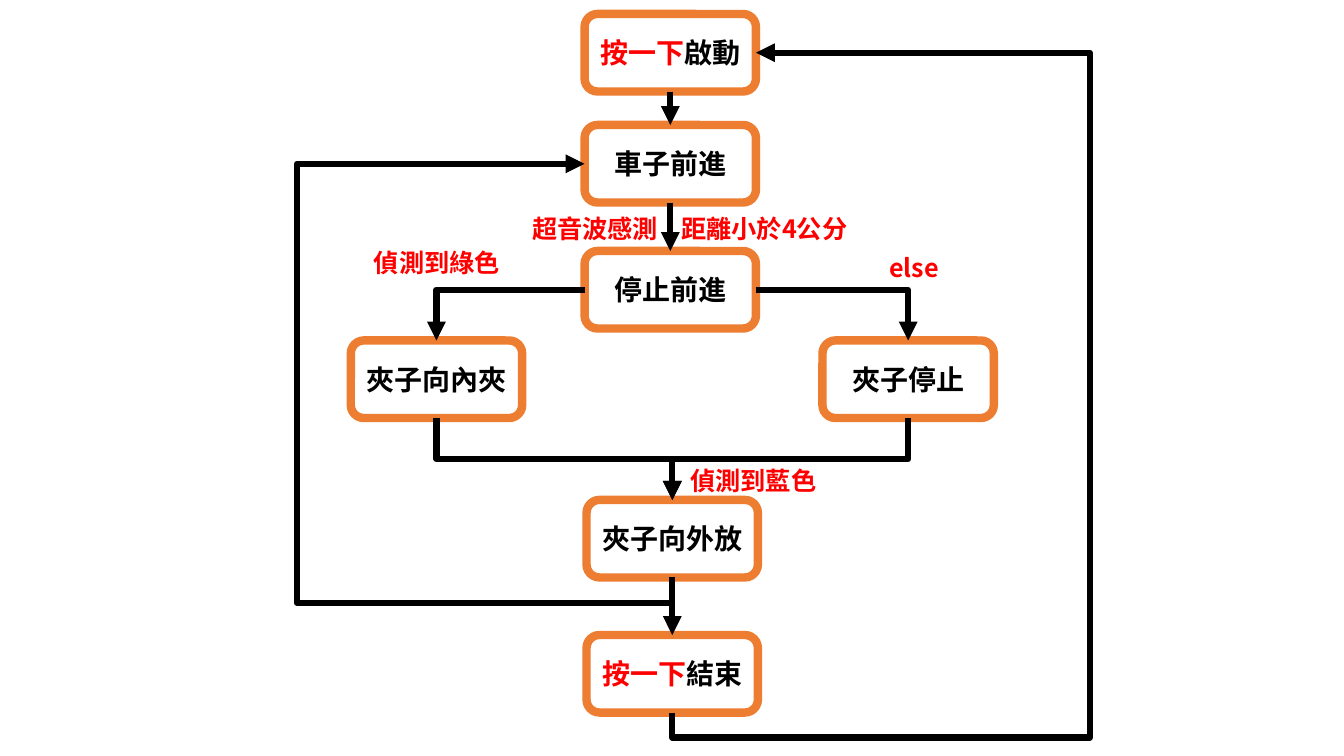
from dataclasses import dataclass

from lxml import etree
from pptx import Presentation
from pptx.dml.color import RGBColor
from pptx.enum import shapes, text
from pptx.oxml import ns
from pptx.util import Pt


@dataclass(frozen=True)
class Theme:
    font: str = "Noto Sans CJK SC"
    ink: RGBColor = RGBColor(0, 0, 0)
    accent: RGBColor = RGBColor(0xFF, 0, 0)
    paper: RGBColor = RGBColor(0xFF, 0xFF, 0xFF)
    border: RGBColor = RGBColor(0xED, 0x7D, 0x31)
    step_size: float = 20
    label_size: float = 18
    border_width: float = 6
    arrow_width: float = 4.5


THEME = Theme()


@dataclass(frozen=True)
class Box:
    left: float
    top: float
    width: float = 122.4
    height: float = 55.4

    @property
    def north(self):
        return self.left + self.width / 2, self.top

    @property
    def south(self):
        return self.left + self.width / 2, self.top + self.height

    @property
    def west(self):
        return self.left, self.top + self.height / 2

    @property
    def east(self):
        return self.left + self.width, self.top + self.height / 2


def add_run(paragraph, words, *, size, color, bold=True):
    run = paragraph.add_run()
    run.text = words
    font = run.font
    font.name, font.size, font.bold = THEME.font, Pt(size), bold
    font.color.rgb = color
    east_asian = etree.SubElement(run._r.get_or_add_rPr(), ns.qn("a:ea"))
    east_asian.set("typeface", THEME.font)


def add_step(slide, box, words, trigger=""):
    """Draw a rounded step; the trigger is the red wording before the step."""
    shape = slide.shapes.add_shape(
        shapes.MSO_SHAPE.ROUNDED_RECTANGLE,
        Pt(box.left), Pt(box.top), Pt(box.width), Pt(box.height))
    shape.shadow.inherit = False
    shape.fill.solid()
    shape.fill.fore_color.rgb = THEME.paper
    shape.line.color.rgb = THEME.border
    shape.line.width = Pt(THEME.border_width)
    frame = shape.text_frame
    frame.word_wrap = True
    frame.vertical_anchor = text.MSO_ANCHOR.MIDDLE
    paragraph = frame.paragraphs[0]
    paragraph.alignment = text.PP_ALIGN.CENTER
    if trigger:
        add_run(paragraph, trigger, size=THEME.step_size, color=THEME.accent)
    add_run(paragraph, words, size=THEME.step_size, color=THEME.ink)


def add_label(slide, box, words, tab_stop=None):
    shape = slide.shapes.add_textbox(
        Pt(box.left), Pt(box.top), Pt(box.width), Pt(box.height))
    frame = shape.text_frame
    frame.word_wrap = True
    frame.auto_size = text.MSO_AUTO_SIZE.SHAPE_TO_FIT_TEXT
    paragraph = frame.paragraphs[0]
    add_run(paragraph, words, size=THEME.label_size, color=THEME.accent)
    if tab_stop:
        tabs = etree.SubElement(paragraph._p.get_or_add_pPr(), ns.qn("a:tabLst"))
        etree.SubElement(tabs, ns.qn("a:tab"), pos=str(Pt(tab_stop)), algn="l")


def bend(connector, route):
    """Give an elbow connector the right-angled route through the points."""
    start, end = route[0], route[-1]
    first = 1 if route[0][0] == route[1][0] else 0  # axis of the first leg
    second = 1 - first
    span = [end[axis] - start[axis] for axis in (0, 1)]
    length, breadth = abs(span[first]), abs(span[second])
    connector.left = Pt((start[0] + end[0] - length) / 2)
    connector.top = Pt((start[1] + end[1] - breadth) / 2)
    connector.width, connector.height = Pt(length), Pt(breadth)

    transform = connector._element.spPr.find(ns.qn("a:xfrm"))
    # A quarter turn sends the local vertical axis to the left.
    flip_v = span[second] > 0 if first else span[second] < 0
    transform.set("rot", str(first * 90 * 60000))
    transform.set("flipH", str(int(span[first] < 0)))
    transform.set("flipV", str(int(flip_v)))

    geometry = connector._element.spPr.find(ns.qn("a:prstGeom"))
    geometry.set("prst", f"bentConnector{len(route) - 1}")
    guides = geometry.find(ns.qn("a:avLst"))
    turns = zip(route[1:len(route) - 2], (first, second))
    for number, (point, axis) in enumerate(turns, 1):
        share = (point[axis] - start[axis]) / span[axis]
        etree.SubElement(guides, ns.qn("a:gd"), name=f"adj{number}",
                         fmla=f"val {round(share * 100000)}")


def add_arrow(slide, *route):
    kind = shapes.MSO_CONNECTOR.STRAIGHT if len(route) == 2 else shapes.MSO_CONNECTOR.ELBOW
    ends = [Pt(value) for point in (route[0], route[-1]) for value in point]
    connector = slide.shapes.add_connector(kind, *ends)
    if len(route) > 2:
        bend(connector, route)
    connector.line.color.rgb = THEME.ink
    connector.line.width = Pt(THEME.arrow_width)
    etree.SubElement(connector.line._get_or_add_ln(), ns.qn("a:tailEnd"), type="triangle")
    etree.SubElement(connector._element.spPr, ns.qn("a:effectLst"))


def add_flowchart(slide, area):
    """Place the steps, arrows and labels relative to the area."""
    def place(left, top, *size):
        return Box(area.left + left, area.top + top, *size)

    press_start, forward, halt = (place(417.6, top) for top in (10, 89.3, 179.3))
    grip, hold = (place(left, 243.2) for left in (250.6, 587.5))
    release, press_end = (place(419, top) for top in (357.1, 453.6))

    add_step(slide, press_start, "啟動", trigger="按一下")
    add_step(slide, forward, "車子前進")
    add_step(slide, halt, "停止前進")
    add_step(slide, grip, "夾子向內夾")
    add_step(slide, hold, "夾子停止")
    add_step(slide, release, "夾子向外放")
    add_step(slide, press_end, "結束", trigger="按一下")

    for upper, lower in ((press_start, forward), (forward, halt), (release, press_end)):
        add_arrow(slide, upper.south, lower.north)

    merge_y = (grip.south[1] + release.north[1]) / 2
    for side, branch in ((halt.west, grip), (halt.east, hold)):
        add_arrow(slide, side, (branch.north[0], side[1]), branch.north)
        add_arrow(slide, branch.south, (branch.south[0], merge_y),
                  (release.north[0], merge_y), release.north)

    loops = ((release, forward.west, area.left + 212),
             (press_end, press_start.east, area.left + 778.5))
    for source, target, lane_x in loops:
        x, y = source.south
        lane_y = y + 18
        add_arrow(slide, (x, y), (x, lane_y), (lane_x, lane_y),
                  (lane_x, target[1]), target)

    add_label(slide, place(373, 149, 253.4, 29), "超音波感測\t距離小於4公分", tab_stop=106.5)
    add_label(slide, place(260, 172.8, 140, 29), "偵測到綠色")
    add_label(slide, place(628, 177, 128, 29), "else")
    add_label(slide, place(486, 329, 122.4, 29), "偵測到藍色")


def main():
    presentation = Presentation()
    presentation.slide_width, presentation.slide_height = Pt(960), Pt(540)
    slide = presentation.slides.add_slide(presentation.slide_layouts[6])
    add_flowchart(slide, Box(0, 0, 960, 540))
    presentation.save("out.pptx")


if __name__ == "__main__":
    main()
